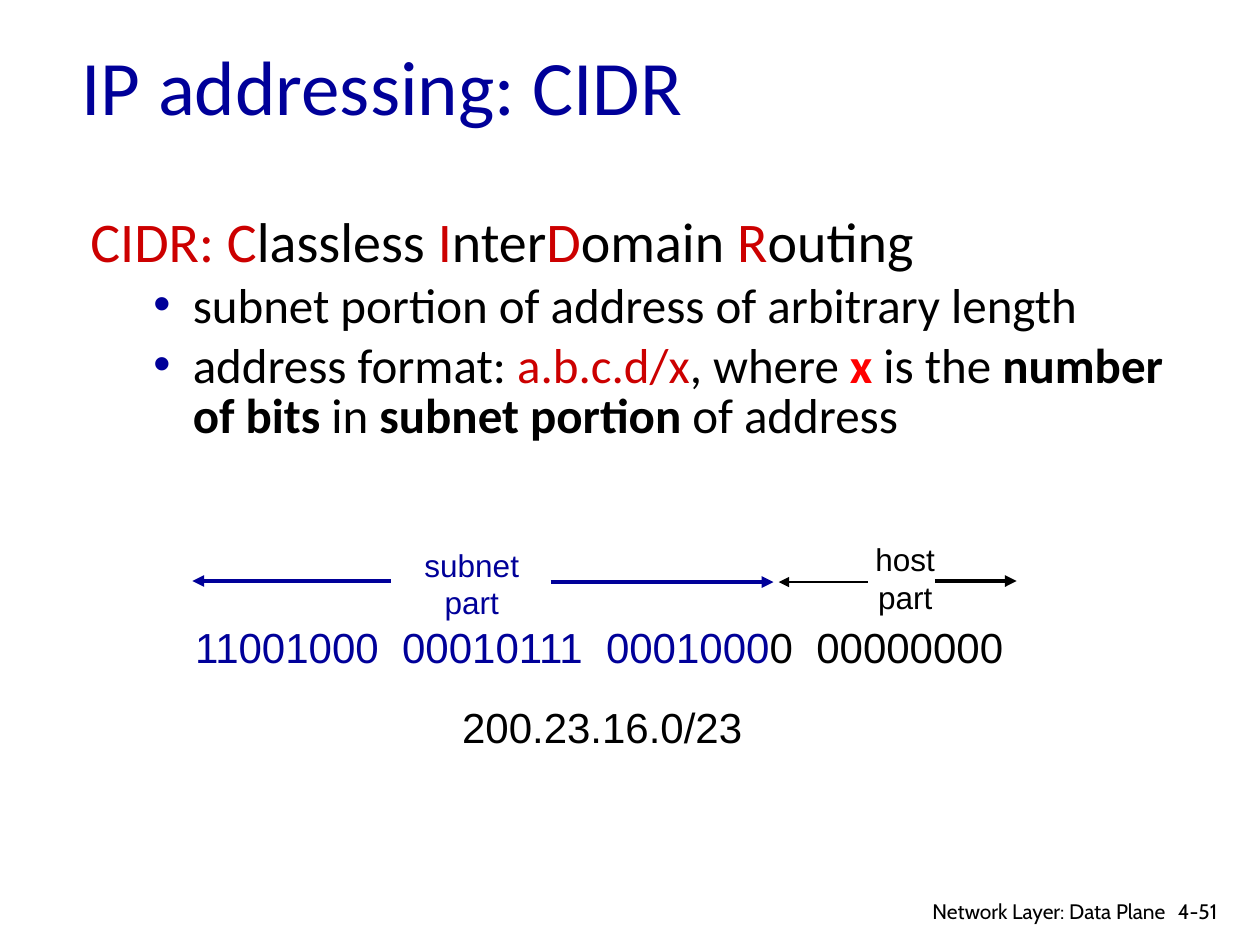
from lxml.etree import SubElement
from pptx import Presentation
from pptx.dml.color import RGBColor
from pptx.enum.shapes import MSO_CONNECTOR as Link
from pptx.enum.text import MSO_ANCHOR as Anchor, PP_ALIGN as Align
from pptx.oxml.ns import qn
from pptx.util import Pt

NAVY = RGBColor(0x00, 0x00, 0x99)
RED = RGBColor(0xCC, 0x00, 0x00)
BRIGHT = RGBColor(0xFF, 0x00, 0x00)
BLACK = RGBColor(0x00, 0x00, 0x00)

deck = Presentation()
deck.slide_width, deck.slide_height = Pt(720), Pt(540)
slide = deck.slides.add_slide(deck.slide_layouts[6])


def add_box(left, top, width, height, **form):
    box = slide.shapes.add_textbox(Pt(left), Pt(top), Pt(width), Pt(height))
    for key, value in form.items():
        setattr(box.text_frame, key, value)
    return box.text_frame


def add_runs(para, parts, face, size):
    for text, color, bold in parts:
        run = para.add_run()
        run.text = text
        form = {"name": face, "size": Pt(size), "bold": bold}
        for key, value in form.items():
            setattr(run.font, key, value)
        run.font.color.rgb = color


title = add_box(39.6, 15.1, 612, 67, word_wrap=True, vertical_anchor=Anchor.MIDDLE)
add_runs(title.paragraphs[0], [("IP addressing: CIDR", NAVY, False)], "Calibri", 44)

points = [
    (32, 27, -27, [
        ("CIDR: C", RED, False), ("lassless ", BLACK, False),
        ("I", RED, False), ("nter", BLACK, False),
        ("D", RED, False), ("omain ", BLACK, False),
        ("R", RED, False), ("outing", BLACK, False)]),
    (28, 58.5, -22.5, [("subnet portion of address of arbitrary length", BLACK, False)]),
    (28, 58.5, -22.5, [
        ("address format: ", BLACK, False), ("a.b.c.d/x", RED, False),
        (", where ", BLACK, False), ("x", BRIGHT, True),
        (" is the ", BLACK, False), ("number of bits", BLACK, True),
        (" in ", BLACK, False), ("subnet portion ", BLACK, True),
        ("of address", BLACK, False)]),
]
body = add_box(44.6, 120.2, 638.6, 249.8, word_wrap=True)
for row, (size, margin, indent, parts) in enumerate(points):
    para = body.add_paragraph() if row else body.paragraphs[0]
    form = {"line_spacing": 0.85, "space_before": Pt(size * 0.2), "level": min(row, 1)}
    for key, value in form.items():
        setattr(para, key, value)
    props = para._p.get_or_add_pPr()
    props.set("marL", str(Pt(margin)))
    props.set("indent", str(Pt(indent)))
    if row:
        tint = SubElement(props, qn("a:buClr"))
        SubElement(tint, qn("a:srgbClr")).set("val", str(NAVY))
        SubElement(props, qn("a:buFont")).set("typeface", "Arial")
        SubElement(props, qn("a:buChar")).set("char", "•")
    else:
        SubElement(props, qn("a:buNone"))
    add_runs(para, parts, "Calibri", size)

labels = [
    (104.4, 351.4, 482.4, 36, "Arial", 24, Align.LEFT, False,
     [[("11001000  00010111  0001000", NAVY, False), ("0  00000000", BLACK, False)]]),
    (235.4, 308.2, 68.4, 50.4, "Arial", 18, Align.CENTER, False,
     [[("subnet", NAVY, False)], [("part", NAVY, False)]]),
    (493.2, 305.3, 48.2, 50.4, "Arial", 18, Align.CENTER, False,
     [[("host", BLACK, False)], [("part", BLACK, False)]]),
    (257, 397.4, 175, 36, "Arial", 24, Align.LEFT, False,
     [[("200.23.16.0/23", BLACK, False)]]),
    (666, 509.8, 43.9, 21.6, "Cabin", 12, Align.LEFT, True,
     [[("4-51", BLACK, False)]]),
    (501.8, 509.8, 171.4, 18.7, "Cabin", 12, Align.RIGHT, True,
     [[("Network Layer: Data Plane", BLACK, False)]]),
]
for left, top, width, height, face, size, align, wrap, lines in labels:
    frame = add_box(left, top, width, height, word_wrap=wrap)
    for row, parts in enumerate(lines):
        para = frame.add_paragraph() if row else frame.paragraphs[0]
        para.alignment = align
        add_runs(para, parts, face, size)

arrows = [
    (223.2, 110, 332, NAVY, 2.25),
    (314.6, 442, 332.6, NAVY, 2.25),
    (496, 445, 332.6, BLACK, 1.5),
    (534.2, 581, 332, BLACK, 2.25),
]
for start, end, y, color, weight in arrows:
    arrow = slide.shapes.add_connector(Link.STRAIGHT, Pt(start), Pt(y), Pt(end), Pt(y))
    arrow.line.color.rgb = color
    arrow.line.width = Pt(weight)
    SubElement(arrow.line._get_or_add_ln(), qn("a:tailEnd")).set("type", "triangle")
    SubElement(arrow._element.spPr, qn("a:effectLst"))

deck.save("out.pptx")
